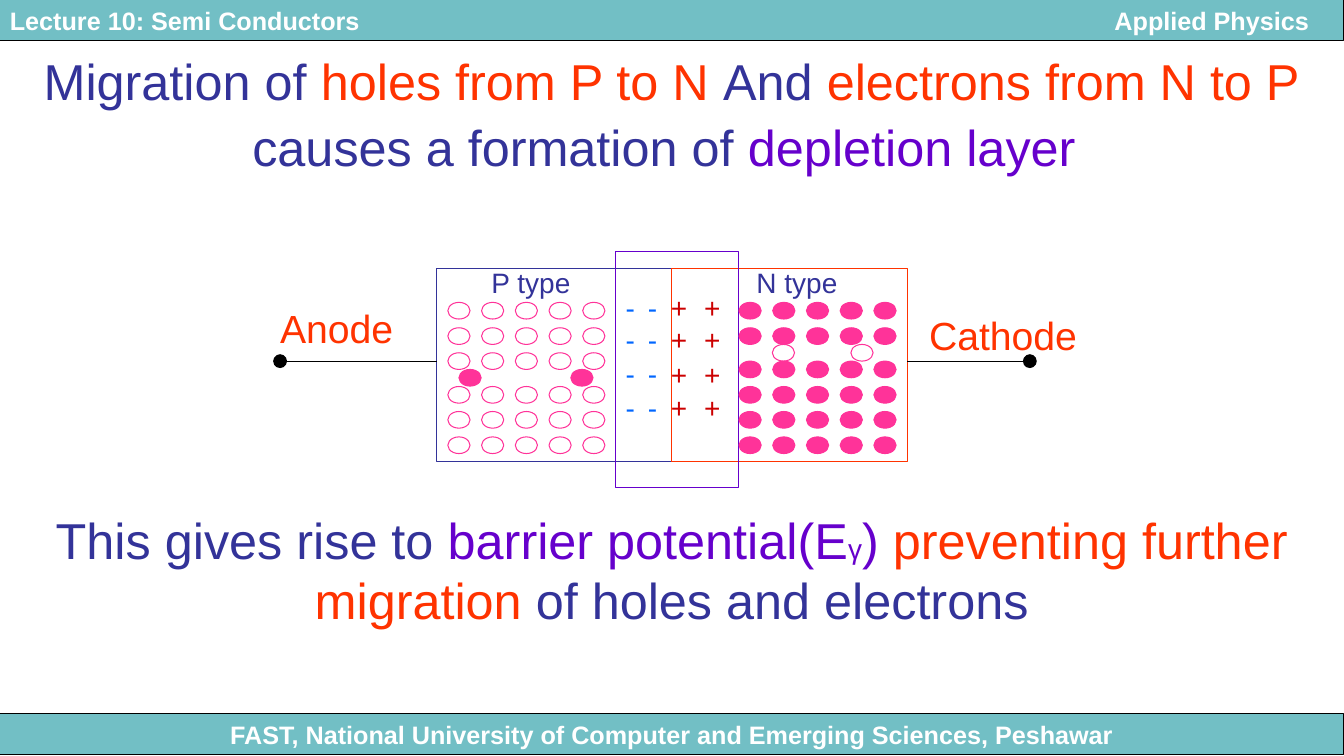
from lxml.etree import SubElement
from pptx import Presentation
from pptx.dml.color import RGBColor
from pptx.enum.shapes import MSO_CONNECTOR, MSO_SHAPE
from pptx.enum.text import MSO_ANCHOR, MSO_AUTO_SIZE, PP_ALIGN
from pptx.oxml.ns import qn
from pptx.util import Cm, Pt

COLORS = {
    "teal": "72BFC5", "black": "000000", "white": "FFFFFF", "navy": "333399",
    "orange": "FF3300", "violet": "6600CC", "pink": "FF3399",
    "red": "CC0000", "blue": "0066FF",
}
SLIDE_WIDTH, SLIDE_HEIGHT = 33.88, 19.05
BAND_WIDTH = 33.87
FRAME_FORMAT = {
    "margin_left": Cm(0.25), "margin_right": Cm(0.25),
    "margin_top": Cm(0.13), "margin_bottom": Cm(0.13), "word_wrap": True,
}

BANDS = [
    (17.99, "FAST, National University of Computer and Emerging Sciences, Peshawar", PP_ALIGN.CENTER),
    (0, "Lecture 10: Semi Conductors\tApplied Physics", PP_ALIGN.LEFT),
]
HEADER_TAB = 32.75

STATEMENTS = [
    ((0, 1.14, BAND_WIDTH, 3.48), [
        ("Migration of ", 36, "navy"), ("holes from P to N ", 36, "orange"),
        ("And ", 36, "navy"), ("electrons from N to P", 36, "orange"),
        (" causes a formation of ", 36, "navy"), ("depletion layer", 36, "violet"),
        (" ", 40, "navy"),
    ]),
    ((0, 12.7, BAND_WIDTH, 3.3), [
        ("This gives rise to ", 36, "navy"), ("barrier potential(E", 36, "violet"),
        ("γ", 20, "violet"), (") ", 36, "violet"),
        ("preventing further migration", 36, "orange"),
        (" of holes and electrons", 36, "navy"),
    ]),
]
LABELS = [
    ((12.14, 6.55, 2.8, 1.12), "P type", 20, "navy"),
    ((18.82, 6.55, 2.8, 1.12), "N type", 20, "navy"),
    ((6.81, 7.54, 3.7, 1.45), "Anode", 28, "orange"),
    ((23.17, 7.72, 4.6, 1.45), "Cathode", 28, "orange"),
]

REGION_LEFT, REGION_TOP, REGION_WIDTH, REGION_HEIGHT = 11.01, 6.77, 5.93, 4.87
REGION_COLORS = ["navy", "orange"]
DEPLETION_BOX = (15.52, 6.35, 3.11, 5.93)
LEADS = [(7.06, REGION_LEFT), (25.96, REGION_LEFT + 2 * REGION_WIDTH)]
LEAD_Y = 9.1

CARRIER_WIDTH, CARRIER_HEIGHT = 0.56, 0.42
CARRIER_COLUMNS, CARRIER_STEP = 5, 0.85
CARRIERS = [
    {"left": 11.29, "rows": [7.62, 8.26, 8.89, 9.74, 10.37, 11.01], "fill": None,
     "stray_y": 9.31, "stray_x": [11.57, 14.39], "stray_fill": "pink"},
    {"left": 18.63, "rows": [7.62, 8.26, 9.1, 9.74, 10.37, 11.01], "fill": "pink",
     "stray_y": 8.68, "stray_x": [19.47, 21.45], "stray_fill": None},
]
CHARGES = [
    ("+", "red", 1.2, [16.66, 17.5], [7.19, 8, 8.89, 9.7]),
    ("-", "blue", 0.85, [16.08, 15.52], [7.19, 8, 8.85, 9.7]),
]


def color(name):
    return RGBColor.from_string(COLORS[name])


def apply_format(target, values):
    for name, value in values.items():
        setattr(target, name, value)


def add_outlined(kind, box, line, fill=None):
    shape = slide.shapes.add_shape(kind, *map(Cm, box))
    shape.shadow.inherit = False
    if fill:
        shape.fill.solid()
        shape.fill.fore_color.rgb = color(fill)
    else:
        shape.fill.background()
    shape.line.color.rgb = color(line)
    shape.line.width = Pt(0.75)
    return shape


def write_runs(paragraph, runs, bold=False):
    for text, size, color_name in runs:
        run = paragraph.add_run()
        run.text = text
        apply_format(run.font, {"name": "Arial", "size": Pt(size), "bold": bold})
        run.font.color.rgb = color(color_name)


def add_text(shapes, box, runs, alignment=PP_ALIGN.LEFT):
    frame = shapes.add_textbox(*map(Cm, box)).text_frame
    apply_format(frame, FRAME_FORMAT | {"auto_size": MSO_AUTO_SIZE.SHAPE_TO_FIT_TEXT})
    frame.paragraphs[0].alignment = alignment
    write_runs(frame.paragraphs[0], runs)


def add_band(top, text, alignment):
    band = add_outlined(MSO_SHAPE.RECTANGLE, (0, top, BAND_WIDTH, 1.02), "black", "teal")
    apply_format(band.text_frame, FRAME_FORMAT | {"vertical_anchor": MSO_ANCHOR.MIDDLE})
    paragraph = band.text_frame.paragraphs[0]
    paragraph.alignment = alignment
    if "\t" in text:
        tabs = SubElement(paragraph._p.get_or_add_pPr(), qn("a:tabLst"))
        SubElement(tabs, qn("a:tab"), pos=str(Cm(HEADER_TAB)), algn="r")
    write_runs(paragraph, [(text, 18, "white")], bold=True)


def add_lead(start, end):
    lead = slide.shapes.add_connector(
        MSO_CONNECTOR.STRAIGHT, Cm(start), Cm(LEAD_Y), Cm(end), Cm(LEAD_Y))
    lead.line.color.rgb = color("black")
    lead.line.width = Pt(0.75)
    SubElement(lead.line._get_or_add_ln(), qn("a:headEnd"), type="oval", w="lg", len="lg")
    SubElement(lead._element.spPr, qn("a:effectLst"))


def add_carrier(left, top, fill):
    add_outlined(MSO_SHAPE.OVAL, (left, top, CARRIER_WIDTH, CARRIER_HEIGHT), "pink", fill)


presentation = Presentation()
presentation.slide_width = Cm(SLIDE_WIDTH)
presentation.slide_height = Cm(SLIDE_HEIGHT)
slide = presentation.slides.add_slide(presentation.slide_layouts[6])

for band in BANDS:
    add_band(*band)
for index, region_color in enumerate(REGION_COLORS):
    region_box = (REGION_LEFT + index * REGION_WIDTH, REGION_TOP, REGION_WIDTH, REGION_HEIGHT)
    add_outlined(MSO_SHAPE.RECTANGLE, region_box, region_color)
add_outlined(MSO_SHAPE.RECTANGLE, DEPLETION_BOX, "violet")
for box, runs in STATEMENTS:
    add_text(slide.shapes, box, runs, PP_ALIGN.CENTER)
for lead in LEADS:
    add_lead(*lead)
for box, *run in LABELS:
    add_text(slide.shapes, box, [run])

for region in CARRIERS:
    for top in region["rows"]:
        for column in range(CARRIER_COLUMNS):
            add_carrier(region["left"] + column * CARRIER_STEP, top, region["fill"])
    for left in region["stray_x"]:
        add_carrier(left, region["stray_y"], region["stray_fill"])

for sign, sign_color, width, columns, rows in CHARGES:
    for left in columns:
        group = slide.shapes.add_group_shape()
        for top in rows:
            add_text(group.shapes, (left, top, width, 1.12), [(sign, 20, sign_color)])

presentation.save("out.pptx")
